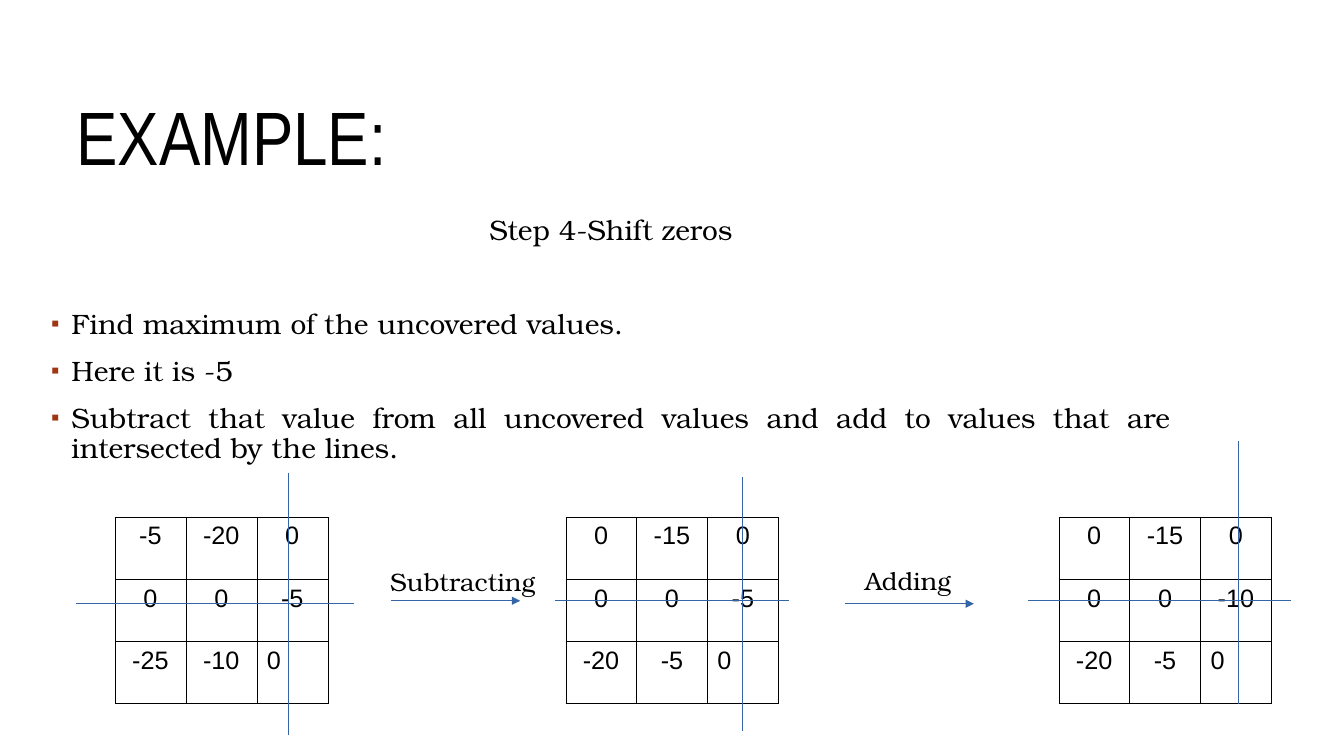
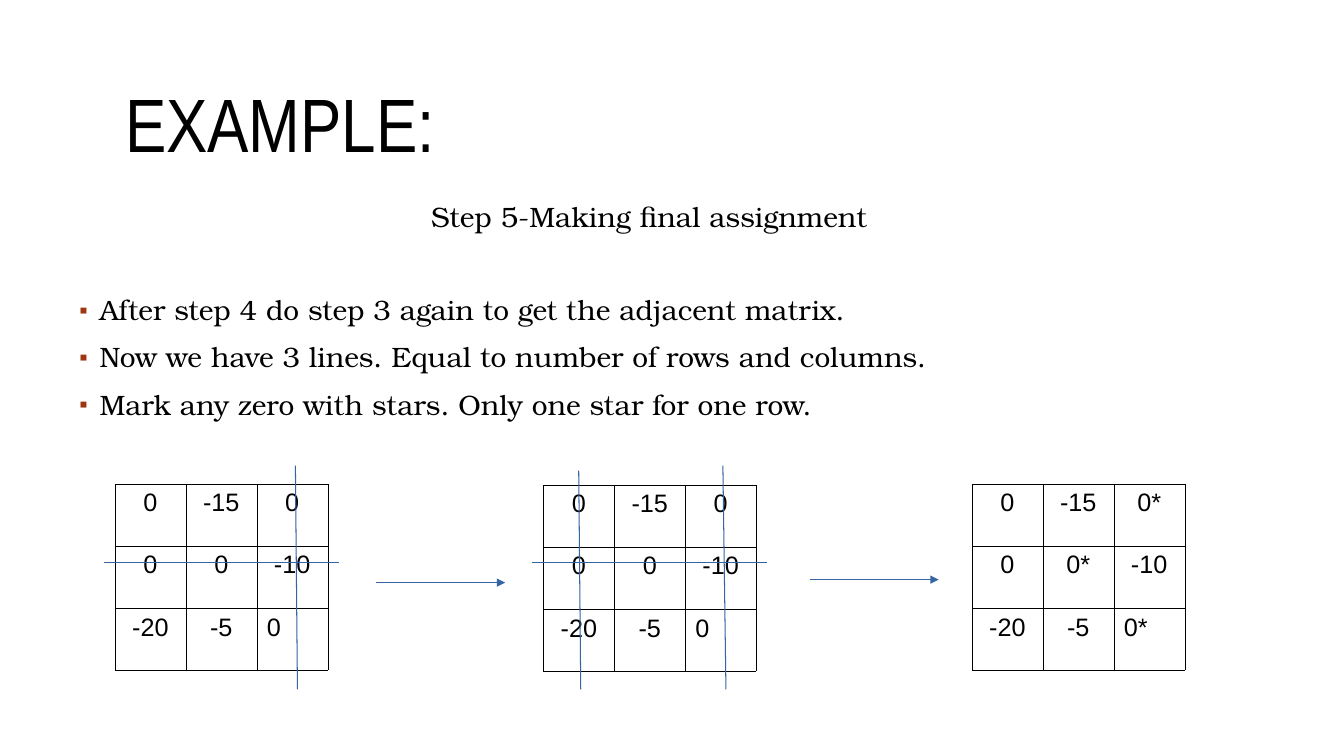
"""Build two slides of a worked matrix assignment example."""
from dataclasses import dataclass

from pptx import Presentation
from pptx import util as u
from pptx.dml.color import RGBColor
from pptx.enum import shapes, text
from pptx.oxml import ns, xmlchemy


@dataclass(frozen=True)
class Theme:
    """Colours, fonts and sizes shared by the slides."""
    ink: str = "000000"
    paper: str = "FFFFFF"
    stroke: str = "3465A4"
    bullet: str = "9E3611"
    title_font: str = "Arial Narrow"
    body_font: str = "TeX Gyre Bonum"
    matrix_font: str = "Arial"
    title_size: int = 54
    body_size: int = 20
    label_size: int = 18
    stroke_width: float = 0.75
    paragraph_gap: int = 12
    step_gap: int = 45
    matrix_width: float = 2.11
    matrix_height: float = 1.85


THEME = Theme()
SHIFTED = (("0", "-15", "0"), ("0", "0", "-10"), ("-20", "-5", "0"))


def add_element(parent, tag, **attributes):
    """Append an XML element with the given attributes."""
    child = xmlchemy.OxmlElement(tag)
    for key, value in attributes.items():
        child.set(key, value)
    parent.append(child)
    return child


def style_font(font, family, size):
    """Apply a family, a size and the ink colour."""
    font.name, font.size, font.bold = family, u.Pt(size), False
    font.color.rgb = RGBColor.from_string(THEME.ink)


def add_title(slide, wording, left, top):
    """Place the slide title."""
    title = slide.shapes.title
    title.left, title.top = u.Inches(left), u.Inches(top)
    title.width, title.height = u.Inches(11), u.Inches(1.76)
    frame = title.text_frame
    frame.text = wording
    frame.vertical_anchor = text.MSO_ANCHOR.MIDDLE
    frame.auto_size = text.MSO_AUTO_SIZE.NONE
    heading = frame.paragraphs[0]
    heading.alignment = text.PP_ALIGN.LEFT
    heading.line_spacing = 0.9
    style_font(heading.font, THEME.title_font, THEME.title_size)


def add_text_frame(slide, left, top, width, height):
    """Add a wrapping text box and return its frame."""
    box = slide.shapes.add_textbox(*map(u.Inches, (left, top, width, height)))
    box.text_frame.word_wrap = True
    return box.text_frame


def add_bullet(paragraph):
    """Give a paragraph a hanging square bullet."""
    properties = paragraph._p.get_or_add_pPr()
    indent = u.Inches(0.2)
    properties.set("marL", str(indent))
    properties.set("indent", str(-indent))
    colour = add_element(properties, "a:buClr")
    add_element(colour, "a:srgbClr", val=THEME.bullet)
    add_element(properties, "a:buSzPct", val="85000")
    add_element(properties, "a:buFont", typeface=THEME.matrix_font)
    add_element(properties, "a:buChar", char="▪")


def add_step(slide, left, top, width, step, actions):
    """Add the centred step name and its bulleted actions."""
    frame = add_text_frame(slide, left, top, width, 2.6)
    frame.text = "\n".join((step, *actions))
    for index, paragraph in enumerate(frame.paragraphs):
        paragraph.line_spacing = 0.9
        gap = THEME.step_gap if index == 1 else THEME.paragraph_gap
        paragraph.space_before = u.Pt(gap)
        style_font(paragraph.font, THEME.body_font, THEME.body_size)
        if index:
            paragraph.alignment = text.PP_ALIGN.JUSTIFY
            add_bullet(paragraph)
        else:
            paragraph.alignment = text.PP_ALIGN.CENTER


def add_borders(cell):
    """Draw hairlines around a cell."""
    properties = cell._tc.get_or_add_tcPr()
    for position, side in enumerate(("a:lnL", "a:lnR", "a:lnT", "a:lnB")):
        border = xmlchemy.OxmlElement(side)
        border.set("w", str(u.Pt(0.06)))
        fill = add_element(border, "a:solidFill")
        add_element(fill, "a:srgbClr", val=THEME.ink)
        properties.insert(position, border)


def add_matrix(slide, left, top, values):
    """Add a matrix whose last value is left-aligned."""
    size = len(values)
    matrix = slide.shapes.add_table(
        size, size, u.Inches(left), u.Inches(top),
        u.Inches(THEME.matrix_width), u.Inches(THEME.matrix_height)).table
    matrix.first_row = matrix.horz_banding = False
    for row, numbers in enumerate(values):
        for column, number in enumerate(numbers):
            cell = matrix.cell(row, column)
            cell.text = number
            cell.fill.solid()
            cell.fill.fore_color.rgb = RGBColor.from_string(THEME.paper)
            add_borders(cell)
            entry = cell.text_frame.paragraphs[0]
            is_last = row == column == size - 1
            entry.alignment = text.PP_ALIGN.LEFT if is_last else text.PP_ALIGN.CENTER
            style_font(entry.font, THEME.matrix_font, THEME.label_size)


def add_stroke(slide, start_x, start_y, end_x, end_y, arrow=False):
    """Add a covering line, or an arrow between matrices."""
    stroke = slide.shapes.add_connector(
        shapes.MSO_CONNECTOR.STRAIGHT,
        *map(u.Inches, (start_x, start_y, end_x, end_y)))
    stroke.line.color.rgb = RGBColor.from_string(THEME.stroke)
    stroke.line.width = u.Pt(THEME.stroke_width)
    if arrow:
        add_element(stroke.line._get_or_add_ln(), "a:tailEnd", type="triangle")
    add_element(stroke._element.find(ns.qn("p:spPr")), "a:effectLst")


def add_arrow(slide, left, y):
    """Add an arrow to the next matrix."""
    add_stroke(slide, left, y, left + 1.28, y, arrow=True)


def add_label(slide, left, top, width, wording):
    """Name the operation above an arrow."""
    frame = add_text_frame(slide, left, top, width, 0.4)
    frame.text = wording
    style_font(frame.paragraphs[0].font, THEME.body_font, THEME.label_size)


def add_example_slide(deck, title_at, step_at, step, actions, matrices, covers, arrows):
    """Add one step of the example with its matrices, lines and arrows."""
    slide = deck.slides.add_slide(deck.slide_layouts[5])
    add_title(slide, "EXAMPLE:", *title_at)
    add_step(slide, *step_at, step, actions)
    for matrix in matrices:
        add_matrix(slide, *matrix)
    for cover in covers:
        add_stroke(slide, *cover)
    for arrow in arrows:
        add_arrow(slide, *arrow)
    return slide


def add_shift_slide(deck):
    """Show how zeros are shifted."""
    covered = (("-5", "-20", "0"), ("0", "0", "-5"), ("-25", "-10", "0"))
    subtracted = (("0", "-15", "0"), ("0", "0", "-5"), ("-20", "-5", "0"))
    slide = add_example_slide(
        deck, (0.66, 0.52), (0.41, 2.1, 11.3), "Step 4-Shift zeros",
        ("Find maximum of the uncovered values.",
         "Here it is -5",
         "Subtract that value from all uncovered values and add to values "
         "that are intersected by the lines."),
        matrices=((1.14, 5.13, covered), (5.61, 5.13, subtracted),
                  (10.5, 5.13, SHIFTED)),
        covers=((2.86, 4.69, 2.86, 7.29), (0.75, 5.99, 3.51, 5.99),
                (7.36, 4.73, 7.36, 7.25), (5.5, 5.96, 7.83, 5.96),
                (12.28, 4.38, 12.28, 6.98), (10.2, 5.96, 12.8, 5.96)),
        arrows=((3.88, 5.96), (8.38, 5.99)))
    add_label(slide, 3.77, 5.57, 1.75, "Subtracting")
    add_label(slide, 8.48, 5.56, 1.49, "Adding")


def add_assignment_slide(deck):
    """Show the final assignment."""
    starred = (("0", "-15", "0*"), ("0", "0*", "-10"), ("-20", "-5", "0*"))
    add_example_slide(
        deck, (1.14, 0.39), (0.69, 1.97, 11.5), "Step 5-Making final assignment",
        ("After step 4 do step 3 again to get the adjacent matrix.",
         "Now we have 3 lines. Equal to number of rows and columns.",
         "Mark any zero with stars. Only one star for one row."),
        matrices=((1.14, 4.8, SHIFTED), (5.39, 4.81, SHIFTED),
                  (9.64, 4.8, starred)),
        covers=((2.95, 6.84, 2.93, 4.62), (7.2, 6.84, 7.17, 4.62),
                (5.76, 6.84, 5.74, 4.67), (1.03, 5.58, 3.36, 5.58),
                (5.28, 5.58, 7.61, 5.58)),
        arrows=((3.73, 5.78), (8.03, 5.75)))


def main():
    """Build and save the presentation."""
    deck = Presentation()
    deck.slide_width, deck.slide_height = u.Inches(13.33), u.Inches(7.5)
    add_shift_slide(deck)
    add_assignment_slide(deck)
    deck.save("out.pptx")


if __name__ == "__main__":
    main()
